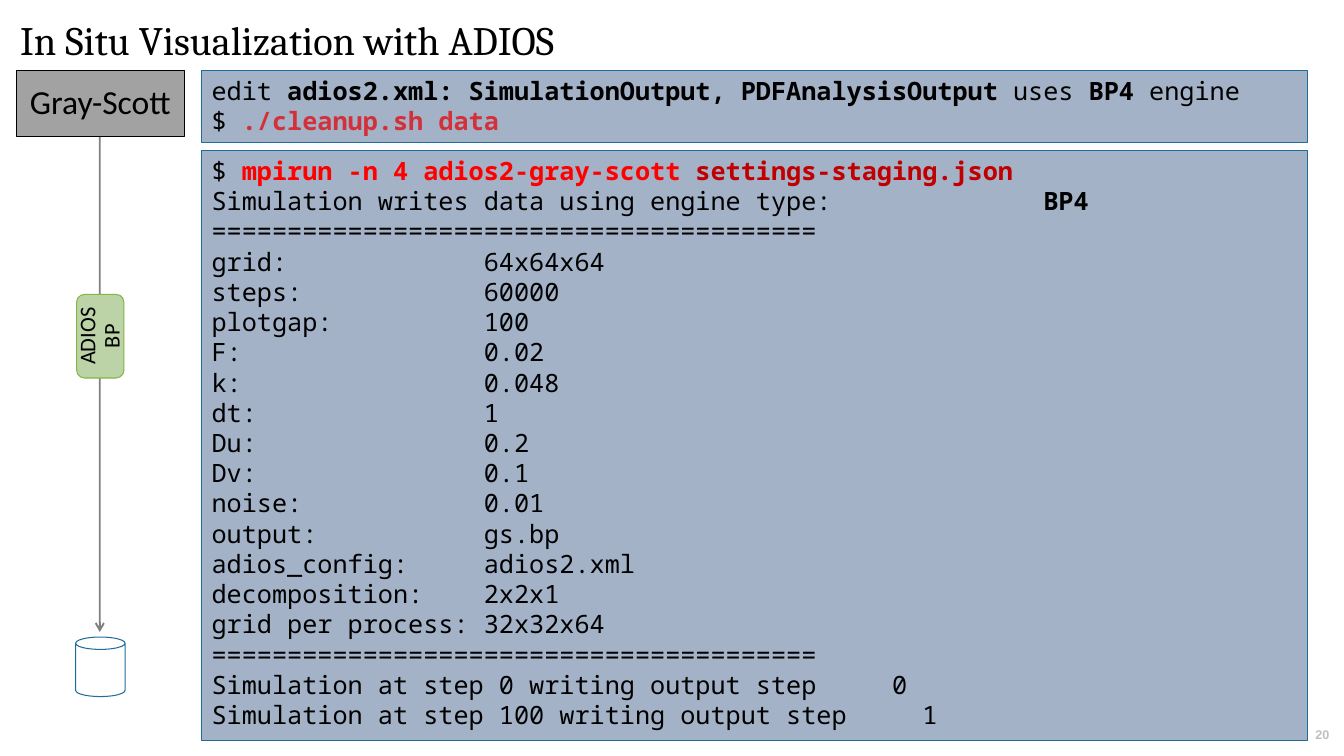
from pptx import Presentation
from pptx.dml.color import RGBColor
from pptx.enum.shapes import MSO_CONNECTOR as Connector, MSO_SHAPE as Shape
from pptx.enum.text import MSO_ANCHOR as Anchor, MSO_AUTO_SIZE as AutoSize, PP_ALIGN as Align
from pptx.oxml.ns import qn
from pptx.util import Inches, Pt
from lxml.etree import SubElement

MONO = "Noto Sans Mono"
RULE = "=" * 40
VALUE_TAB, STEP_TAB, NEXT_STEP_TAB, ENGINE_TAB = 2.7, 6.75, 7.05, 8.25


def add_text(para, text, font=MONO, size=18, color="000000", bold=False):
    span = para.add_run()
    span.text = text
    span.font.name = font
    span.font.size = Pt(size)
    span.font.bold = bold
    span.font.color.rgb = RGBColor.from_string(color)


def add_box(kind, place, fill, line, anchor=Anchor.MIDDLE, align=Align.CENTER, side=0.05):
    box = page.shapes.add_shape(kind, *[Inches(length) for length in place])
    box.shadow.inherit = False
    box.fill.solid()
    box.fill.fore_color.rgb = RGBColor.from_string(fill)
    box.line.color.rgb = RGBColor.from_string(line)
    box.line.width = Pt(0.75)
    frame = box.text_frame
    frame.word_wrap = True
    frame.vertical_anchor = anchor
    frame.margin_left = frame.margin_right = Inches(side)
    frame.margin_top = frame.margin_bottom = Inches(0.05)
    frame.paragraphs[0].alignment = align
    return box


deck = Presentation()
deck.slide_width, deck.slide_height = Inches(13.33), Inches(7.5)
page = deck.slides.add_slide(deck.slide_layouts[5])

title = page.shapes.title
title.left, title.top = Inches(0.15), Inches(0.15)
title.width, title.height = Inches(13.01), Inches(0.55)
frame = title.text_frame
frame.auto_size = AutoSize.NONE
frame.vertical_anchor = Anchor.TOP
frame.margin_left = frame.margin_right = frame.margin_top = frame.margin_bottom = Inches(0.05)
para = frame.paragraphs[0]
para.alignment = Align.LEFT
para.line_spacing = 0.9
add_text(para, "In Situ Visualization with ADIOS", font="Cambria", size=28.8)

add_box(Shape.CAN, (0.75, 6.32, 0.49, 0.59), "FFFFFF", "206C9E")

flow = page.shapes.add_connector(
    Connector.STRAIGHT, Inches(0.99), Inches(1.35), Inches(0.99), Inches(6.27))
flow.line.width = Pt(1.35)
flow.line.color.rgb = RGBColor.from_string("000000")
outline = flow.line._ln
SubElement(outline.find(".//" + qn("a:srgbClr")), qn("a:alpha"), val="50000")
SubElement(outline, qn("a:tailEnd"), type="arrow")
SubElement(flow._element.spPr, qn("a:effectLst"))

labels = [
    (Shape.ROUNDED_RECTANGLE, (0.58, 3.1, 0.83, 0.47), "BBD3A7", "84B641", 270, "ADIOS BP", 16),
    (Shape.RECTANGLE, (0.16, 0.7, 1.67, 0.65), "A2A2A2", "000000", 0, "Gray-Scott", 24),
]
for kind, place, fill, line, turn, text, size in labels:
    box = add_box(kind, place, fill, line)
    box.rotation = turn
    para = box.text_frame.paragraphs[0]
    para.line_spacing = 0.9
    add_text(para, text, font="Calibri", size=size)

settings = [
    ("grid:", "64x64x64"), ("steps:", "60000"), ("plotgap:", "100"), ("F:", "0.02"),
    ("k:", "0.048"), ("dt:", "1"), ("Du:", "0.2"), ("Dv:", "0.1"), ("noise:", "0.01"),
    ("output:", "gs.bp"), ("adios_config:", "adios2.xml"), ("decomposition:", "2x2x1"),
    ("grid per process:", "32x32x64"),
]
run_lines = [
    (None, [("$ ", {}),
            ("mpirun -n 4 adios2-gray-scott ", {"color": "FF0000", "bold": True}),
            ("settings-staging.json", {"color": "C00000", "bold": True})]),
    (ENGINE_TAB, [("Simulation writes data using engine type:\t", {}), ("BP4", {"bold": True})]),
    (None, [(RULE, {})]),
    *[(VALUE_TAB, [(f"{name}\t{value}", {})]) for name, value in settings],
    (None, [(RULE, {})]),
    (STEP_TAB, [("Simulation at step 0 writing output step\t0", {})]),
    (NEXT_STEP_TAB, [("Simulation at step 100 writing output step\t1", {})]),
]
edit_lines = [
    (None, [("edit ", {}),
            ("adios2.xml: SimulationOutput, PDFAnalysisOutput", {"bold": True}),
            (" uses ", {}), ("BP4 ", {"bold": True}), ("engine", {})]),
    (None, [("$ ", {}), ("./cleanup.sh data", {"color": "D33139", "bold": True})]),
]
for top, height, lines in [(1.49, 5.86, run_lines), (0.7, 0.71, edit_lines)]:
    console = add_box(Shape.RECTANGLE, (2, top, 10.97, height), "A3B2C7", "206C9E",
                      anchor=Anchor.TOP, align=Align.LEFT, side=0.1)
    frame = console.text_frame
    for number, (tab, spans) in enumerate(lines):
        para = frame.add_paragraph() if number else frame.paragraphs[0]
        para.alignment = Align.LEFT
        if tab:
            stops = SubElement(para._p.get_or_add_pPr(), qn("a:tabLst"))
            SubElement(stops, qn("a:tab"), pos=str(Inches(tab)), algn="l")
        for text, look in spans:
            add_text(para, text, **look)

page_number = page.shapes.add_textbox(Inches(12.96), Inches(7.21), Inches(0.31), Inches(0.17))
frame = page_number.text_frame
frame.word_wrap = True
frame.vertical_anchor = Anchor.MIDDLE
frame.margin_left = frame.margin_right = frame.margin_top = frame.margin_bottom = 0
para = frame.paragraphs[0]
para.alignment = Align.CENTER
para.line_spacing = 0.9
add_text(para, "20", font="Arial", size=9, color="BFBFBF", bold=True)

deck.save("out.pptx")
